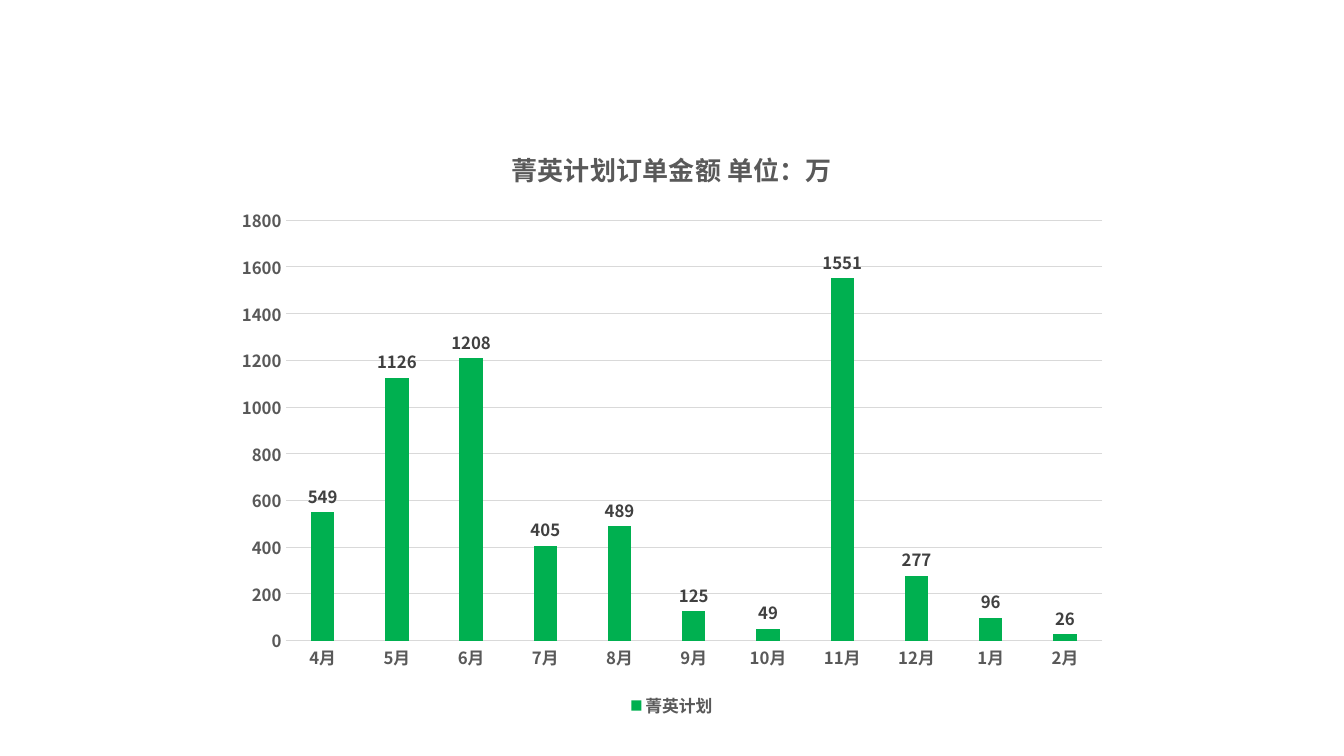
from lxml.etree import QName
from pptx import Presentation
from pptx.chart.data import CategoryChartData
from pptx.dml.color import RGBColor
from pptx.enum.chart import (
    XL_CHART_TYPE as ChartType,
    XL_LABEL_POSITION as LabelPosition,
    XL_LEGEND_POSITION as LegendPosition,
    XL_TICK_MARK as TickMark,
)
from pptx.oxml.ns import qn
from pptx.util import Inches, Pt

FONT = "Noto Sans CJK SC"
GREEN, TEXT, LABEL, GRID = "00B050", "595959", "404040", "D9D9D9"
ORDERS = {
    "4月": 549, "5月": 1126, "6月": 1208, "7月": 405, "8月": 489, "9月": 125,
    "10月": 49, "11月": 1551, "12月": 277, "1月": 96, "2月": 26,
}


def paint(color_format, hex_color):
    color_format.rgb = RGBColor.from_string(hex_color)


def style_font(font, size, hex_color):
    font.name, font.size, font.bold = FONT, Pt(size), True
    paint(font.color, hex_color)


def style_line(line, hex_color):
    paint(line.color, hex_color)
    line.width = Pt(0.75)


def set_east_asian_font(chart):
    """Give Chinese characters the same typeface as Latin ones."""
    for latin in list(chart.element.iter(qn("a:latin"))):
        east_asian = latin.makeelement(QName(qn("a:ea")), {"typeface": FONT})
        latin.addnext(east_asian)


def add_order_chart(slide, left, top, width, height):
    data = CategoryChartData()
    data.categories = list(ORDERS)
    data.add_series("菁英计划", list(ORDERS.values()))
    chart = slide.shapes.add_chart(
        ChartType.COLUMN_CLUSTERED, left, top, width, height, data).chart
    style_font(chart.font, 12, TEXT)
    style_title(chart)
    style_axes(chart)
    style_columns(chart.plots[0])
    chart.has_legend = True
    chart.legend.position = LegendPosition.BOTTOM
    chart.legend.include_in_layout = False
    style_font(chart.legend.font, 12, TEXT)
    set_east_asian_font(chart)


def style_title(chart):
    chart.has_title = True
    title = chart.chart_title
    title.include_in_layout = False
    paragraph = title.text_frame.paragraphs[0]
    paragraph.add_run().text = "菁英计划订单金额 单位：万"
    style_font(paragraph.font, 18.6, TEXT)
    style_font(paragraph.runs[0].font, 18.6, TEXT)


def style_axes(chart):
    for axis in (chart.category_axis, chart.value_axis):
        axis.major_tick_mark = axis.minor_tick_mark = TickMark.NONE
        style_font(axis.tick_labels.font, 12, TEXT)
    style_line(chart.category_axis.format.line, GRID)
    values = chart.value_axis
    values.minimum_scale, values.maximum_scale, values.major_unit = 0, 1800, 200
    values.format.line.fill.background()
    values.has_major_gridlines = True
    style_line(values.major_gridlines.format.line, GRID)


def style_columns(plot):
    plot.vary_by_categories = False
    plot.gap_width, plot.overlap = 219, -27
    fill = plot.series[0].format.fill
    fill.solid()
    paint(fill.fore_color, GREEN)
    labels = plot.series[0].data_labels
    labels.show_value = True
    labels.position = LabelPosition.OUTSIDE_END
    style_font(labels.font, 12, LABEL)


def main():
    presentation = Presentation()
    presentation.slide_width, presentation.slide_height = Inches(13.33), Inches(7.5)
    slide = presentation.slides.add_slide(presentation.slide_layouts[6])
    width = presentation.slide_width * 2 // 3
    left = (presentation.slide_width - width) // 2
    add_order_chart(slide, left, Inches(1.24), width, width * 2 // 3)
    presentation.save("out.pptx")


if __name__ == "__main__":
    main()
